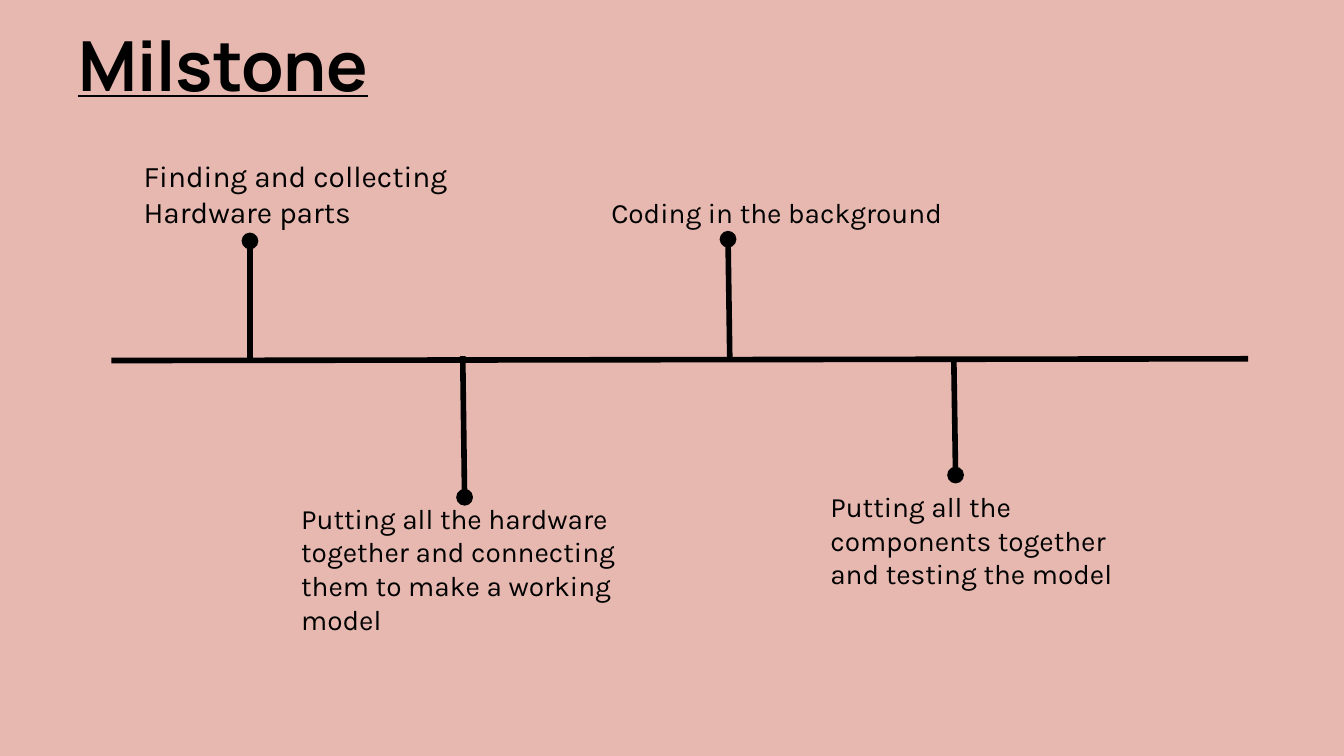
from lxml import etree
from pptx import Presentation
from pptx.dml.color import RGBColor
from pptx.enum.shapes import MSO_CONNECTOR
from pptx.enum.text import MSO_ANCHOR
from pptx.oxml.ns import qn
from pptx.util import Inches, Pt

STRAIGHT = MSO_CONNECTOR.STRAIGHT
TOP, MIDDLE = MSO_ANCHOR.TOP, MSO_ANCHOR.MIDDLE
BLANK_LAYOUT = 6
CELL = 0.1  # grid cell in inches
COLUMNS = 100
ROWS = COLUMNS * 9 / 16  # widescreen


def color(hex_string):
    return RGBColor.from_string(hex_string)


def grid(cells):
    return Inches(cells * CELL)


class TimelineSlide:
    ink = "000000"
    background = "E6B8AF"
    title_font = "Manrope"
    body_font = "Karla"
    line_width = 3

    def __init__(self, presentation):
        self.slide = presentation.slides.add_slide(
            presentation.slide_layouts[BLANK_LAYOUT])
        fill = self.slide.background.fill
        fill.solid()
        fill.fore_color.rgb = color(self.background)

    def text(self, words, box, size, font_name, anchor=TOP):
        shape = self.slide.shapes.add_textbox(*map(grid, box))
        text_frame = shape.text_frame
        text_frame.word_wrap = True
        text_frame.vertical_anchor = anchor
        text_frame.margin_left = text_frame.margin_right = grid(1)
        text_frame.margin_top = text_frame.margin_bottom = grid(1)
        text_frame.text = words
        font = text_frame.paragraphs[0].runs[0].font
        font.name = font_name
        font.size = Pt(size)
        font.color.rgb = color(self.ink)
        return font

    def title(self, words, box):
        font = self.text(words, box, 37, self.title_font, MIDDLE)
        font.bold = font.underline = True

    def label(self, words, box, size=15):
        self.text(words, box, size, self.body_font)

    def line(self, start, end, dot=False):
        connector = self.slide.shapes.add_connector(
            STRAIGHT, *map(grid, start + end))
        connector.line.color.rgb = color(self.ink)
        connector.line.width = Pt(self.line_width)
        properties = connector._element.spPr
        etree.SubElement(properties, qn("a:effectLst"))
        if dot:
            outline = properties.find(qn("a:ln"))
            etree.SubElement(outline, qn("a:tailEnd"), type="oval")


def main():
    presentation = Presentation()
    presentation.slide_width = grid(COLUMNS)
    presentation.slide_height = grid(ROWS)
    timeline = TimelineSlide(presentation)

    timeline.title("Milstone", (4.85, 2.8, 31.2, 3.9))

    # Time axis
    timeline.line((8.28, 26.83), (92.87, 26.7))

    # Milestones: stem from the axis to its dot, label, label box, text size
    milestones = [
        ((18.6, 27), (18.6, 17.93),
         "Finding and collecting Hardware parts", (9.7, 10.72, 27.9, 8.1), 16),
        ((34.43, 26.5), (34.57, 37),
         "Putting all the hardware together and connecting them to make "
         "a working model", (21.43, 36.3, 27.9, 8.9), 15),
        ((54.3, 26.7), (54.17, 17.8),
         "Coding in the background", (44.5, 13.53, 37.2, 9), 15),
        ((70.97, 26.7), (71.1, 35.35),
         "Putting all the components together and testing the model",
         (60.8, 35.45, 23.4, 10.6), 15),
    ]
    for axis_point, tip, words, box, size in milestones:
        timeline.line(axis_point, tip, dot=True)
        timeline.label(words, box, size)

    presentation.save("out.pptx")


if __name__ == "__main__":
    main()
